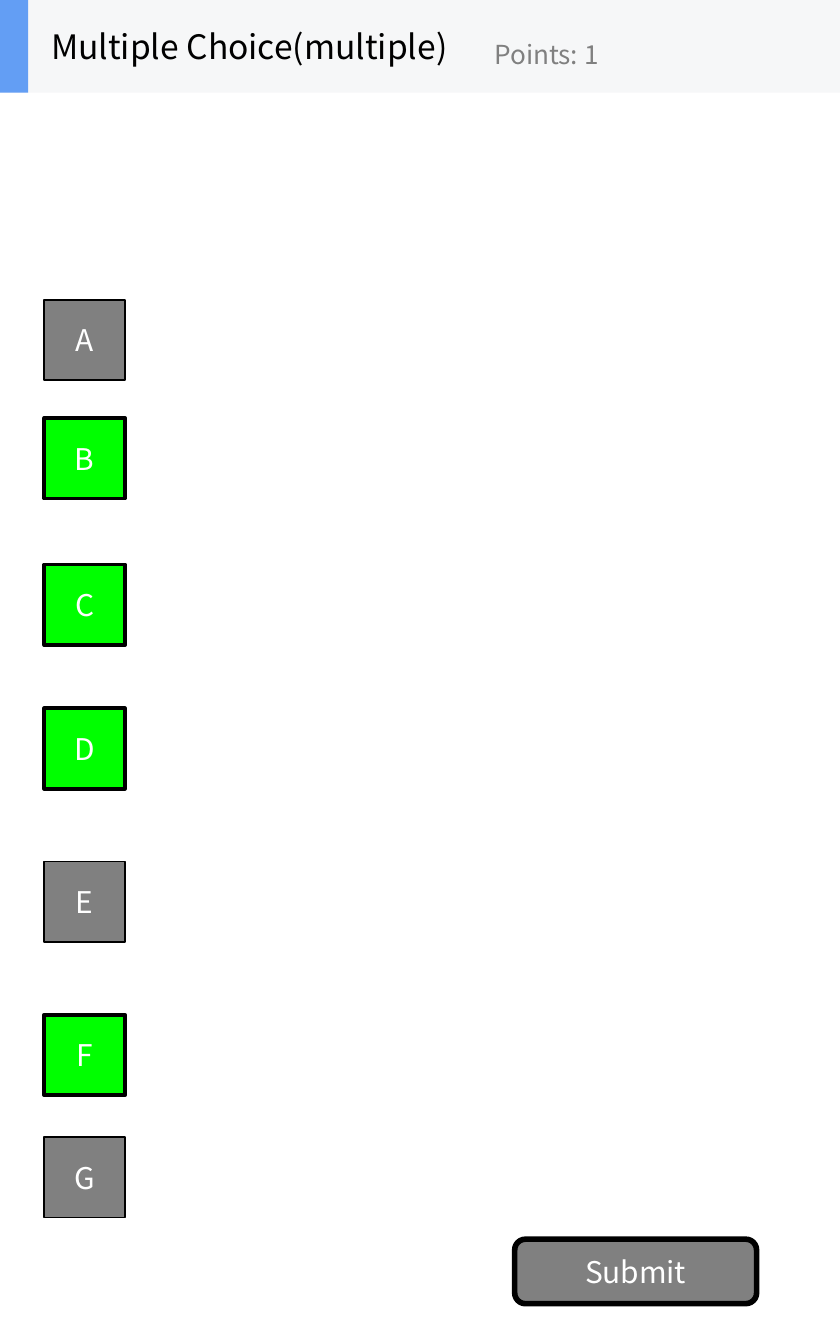
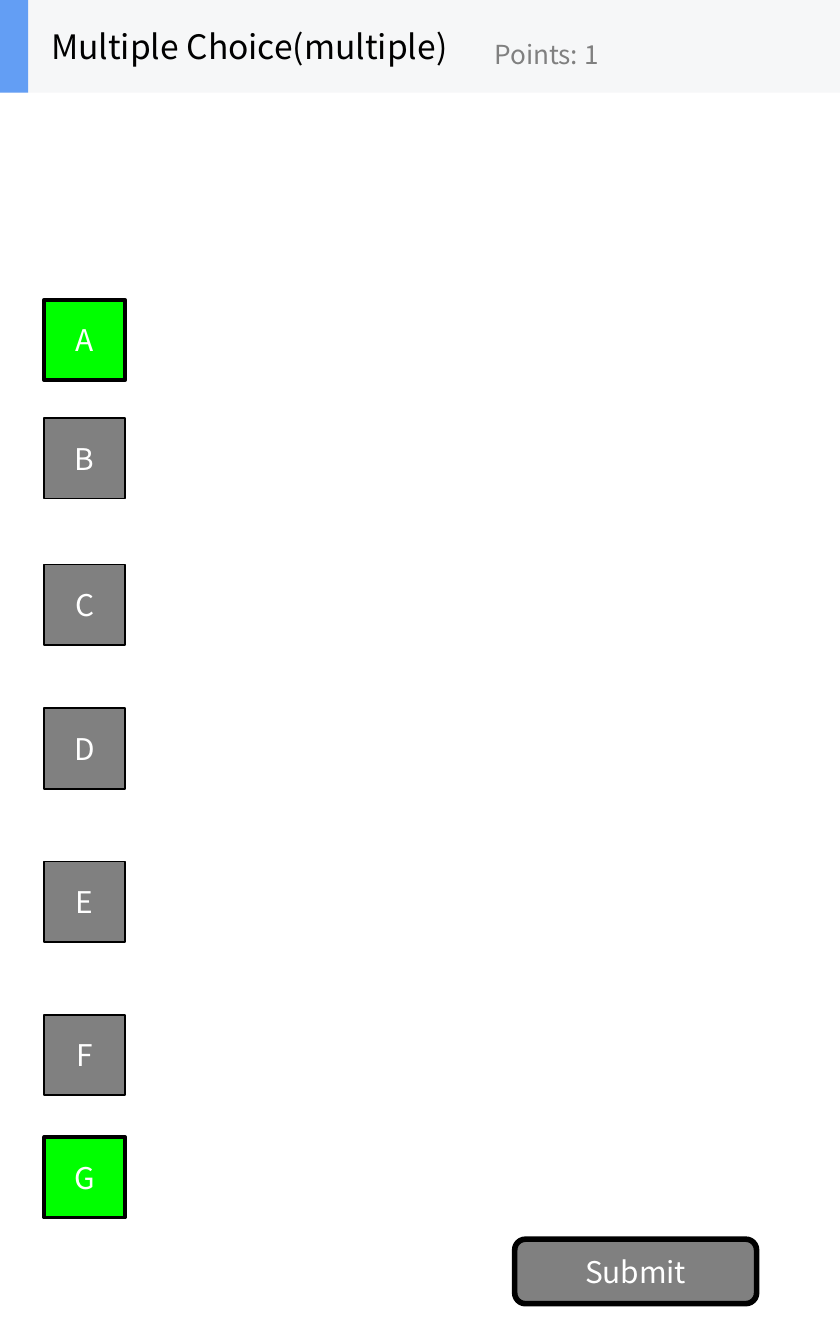
from pptx import Presentation
from pptx.dml.color import RGBColor
from pptx.enum.shapes import MSO_SHAPE
from pptx.enum.text import MSO_ANCHOR, MSO_AUTO_SIZE, PP_ALIGN
from pptx.util import Emu, Pt

PX = 9144
PAGE_WIDTH, PAGE_HEIGHT = 625, 1000
HEADER_HEIGHT = 69
FONT = "Noto Sans CJK SC"
BLACK, WHITE, GRAY, GREEN = "000000", "FFFFFF", "808080", "00FF00"
HEADER, ACCENT = "F6F7F8", "639EF4"

TITLE = "Multiple Choice(multiple)"
POINTS = "Points: 1"
SUBMIT = "Submit"
OPTION_TOPS = {"A": 223, "B": 311, "C": 420, "D": 527, "E": 641, "F": 755, "G": 846}
OPTION_LEFT, OPTION_SIZE = 33, 60
CORRECT_ANSWERS = ["BCDF", "AG"]


def color(hex_text):
    return RGBColor.from_string(hex_text)


def px(*lengths):
    return [Emu(length * PX) for length in lengths]


def write(box, text, size, hex_text, align, wrap):
    frame = box.text_frame
    frame.text = text
    frame.word_wrap = wrap
    frame.auto_size = MSO_AUTO_SIZE.NONE
    frame.vertical_anchor = MSO_ANCHOR.MIDDLE
    para = frame.paragraphs[0]
    para.alignment = align
    font = para.runs[0].font
    font.name, font.size = FONT, Pt(size)
    font.color.rgb = color(hex_text)


def add_block(page, kind, place, fill, line_width=0):
    box = page.shapes.add_shape(kind, *px(*place))
    box.shadow.inherit = False
    box.fill.solid()
    box.fill.fore_color.rgb = color(fill)
    if line_width:
        box.line.color.rgb = color(BLACK)
        box.line.width = Pt(line_width)
    else:
        box.line.fill.background()
    return box


def add_button(page, kind, place, text, fill, line_width):
    box = add_block(page, kind, place, fill, line_width)
    write(box, text, 16, WHITE, PP_ALIGN.CENTER, True)


def add_header(page):
    add_block(page, MSO_SHAPE.RECTANGLE, (0, 0, PAGE_WIDTH, HEADER_HEIGHT), HEADER)
    stripe = add_block(page, MSO_SHAPE.RECTANGLE, (0, 0, 21, HEADER_HEIGHT), ACCENT)
    title = page.shapes.title
    title.left, title.top, title.width, title.height = px(28, 0, 328, HEADER_HEIGHT)
    write(title, TITLE, 18, BLACK, PP_ALIGN.LEFT, False)
    stripe.element.addnext(title.element)
    points = page.shapes.add_textbox(*px(358, 12, 250, 56))
    write(points, POINTS, 14, GRAY, PP_ALIGN.LEFT, False)


def add_question(deck, correct):
    page = deck.slides.add_slide(deck.slide_layouts.get_by_name("Title Only"))
    for letter, top in OPTION_TOPS.items():
        fill, line_width = (GREEN, 2) if letter in correct else (GRAY, 1)
        place = (OPTION_LEFT, top, OPTION_SIZE, OPTION_SIZE)
        add_button(page, MSO_SHAPE.RECTANGLE, place, letter, fill, line_width)
    add_button(page, MSO_SHAPE.ROUNDED_RECTANGLE, (383, 922, 180, 48), SUBMIT, GRAY, 3)
    add_header(page)


def main():
    deck = Presentation()
    deck.slide_width, deck.slide_height = px(PAGE_WIDTH, PAGE_HEIGHT)
    for correct in CORRECT_ANSWERS:
        add_question(deck, correct)
    deck.save("out.pptx")


if __name__ == "__main__":
    main()
